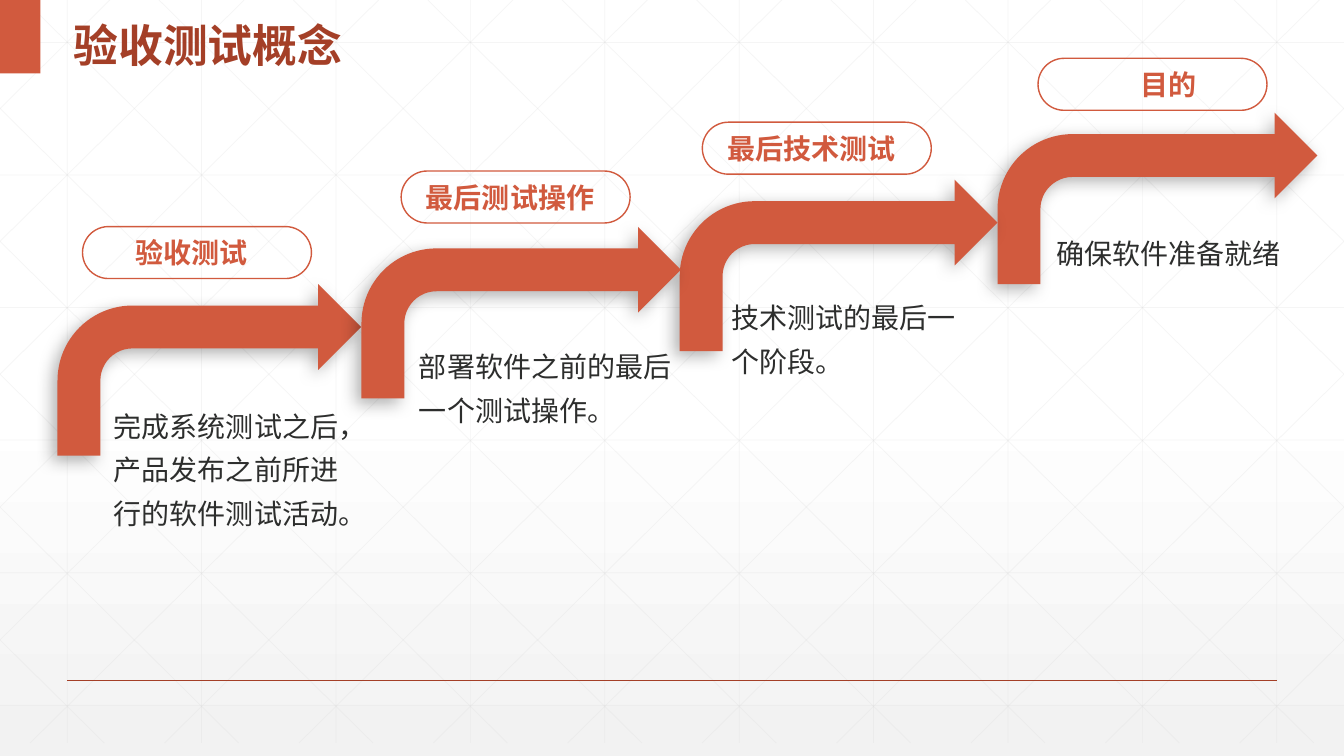
from lxml import etree
from pptx import Presentation
from pptx import util as u
from pptx.dml.color import RGBColor
from pptx.enum import shapes, text
from pptx.oxml import ns, parse_xml

Cm, Pt = u.Cm, u.Pt
WIDTH, HEIGHT = 33.87, 19.05
ORANGE, BRICK, INK, GRID = "D15A3E", "A43F27", "2D2E2D", "D9D9D9"
CJK = "Noto Sans CJK SC"

TITLE = "验收测试概念"
# Lengths in cm: arrow (left, top, width), pill (left, top),
# label (inset from pill, width), body (left, top, width, height)
STEPS = [
    dict(label="验收测试", body="完成系统测试之后，产品发布之前所进行的软件测试活动。",
         arrow=(1.45, 7.16, 7.65), pill=(2.08, 5.71), label_at=(0.6, 4.29),
         body_at=(2.62, 9.93, 6.65, 3.48)),
    dict(label="最后测试操作", body="部署软件之前的最后一个测试操作。",
         arrow=(9.11, 5.72, 8.05), pill=(10.11, 4.31), label_at=(0.6, 4.29),
         body_at=(10.31, 8.43, 6.91, 2.36)),
    dict(label="最后技术测试", body="技术测试的最后一个阶段。",
         arrow=(17.13, 4.53, 8.01), pill=(17.7, 3.08), label_at=(0.6, 4.29),
         body_at=(18.19, 7.19, 6.76, 2.36)),
    dict(label="目的", body="确保软件准备就绪",
         arrow=(25.14, 2.84, 8.06), pill=(26.16, 1.47), label_at=(1.9, 2.77),
         body_at=(26.37, 5.59, 7.5, 1.27)),
]
ARROW_ORDER = (3, 0, 2, 1)  # back to front
ARROW_H = 4.32
PILL_W, PILL_H = 5.77, 1.31
LABEL_DROP, LABEL_H = 0.23, 0.86

GRID_PITCH_X, GRID_PITCH_Y = WIDTH / 10, 3.34
GRID_BOTTOM = 18.72
DIAGONAL_RUN = 18.94  # width a diagonal covers from top to GRID_BOTTOM


def color(value):
    return RGBColor.from_string(value)


def box(left, top, width, height):
    return Cm(left), Cm(top), Cm(width), Cm(height)


def add_line(s, x1, y1, x2, y2, hue, points, opacity=None):
    c = s.shapes.add_connector(shapes.MSO_CONNECTOR.STRAIGHT,
                               Cm(x1), Cm(y1), Cm(x2), Cm(y2))
    c.line.color.rgb = color(hue)
    c.line.width = Pt(points)
    sp_pr = c._element.spPr
    if opacity:
        rgb = sp_pr.find(".//" + ns.qn("a:srgbClr"))
        etree.SubElement(rgb, ns.qn("a:alpha"), val=str(opacity * 1000))
    etree.SubElement(sp_pr, ns.qn("a:effectLst"))


def add_shape(s, kind, at, fill=None, line=None):
    sp = s.shapes.add_shape(kind, *box(*at))
    sp.shadow.inherit = False
    if fill:
        sp.fill.solid()
        sp.fill.fore_color.rgb = color(fill)
    else:
        sp.fill.background()
    if line:
        sp.line.color.rgb = color(line)
        sp.line.width = Pt(1)
    else:
        sp.line.fill.background()
    return sp


def write(tf, words, size, hue, font, bold=False, spacing=None, align=None):
    p = tf.paragraphs[0]
    p.line_spacing = spacing
    p.alignment = align
    r = p.add_run()
    r.text = words
    r.font.size = Pt(size)
    r.font.bold = bold
    r.font.color.rgb = color(hue)
    r.font.name = font
    latin = r._r.rPr.find(ns.qn("a:latin"))
    east_asian = etree.Element(ns.qn("a:ea"), typeface=CJK)
    latin.addnext(east_asian)


def add_text(s, at, words, hue, inset=True, **style):
    tf = s.shapes.add_textbox(*box(*at)).text_frame
    tf.word_wrap = True
    tf.auto_size = text.MSO_AUTO_SIZE.SHAPE_TO_FIT_TEXT
    if not inset:
        tf.margin_left = tf.margin_top = tf.margin_right = tf.margin_bottom = 0
    write(tf, words, 20, hue, CJK, **style)


def cast_shadow(sp):
    effects = sp._element.spPr.find(ns.qn("a:effectLst"))
    effects.append(parse_xml(
        f'<a:outerShdw {ns.nsdecls("a")} blurRad="{Pt(12)}" dist="{Pt(5)}" '
        f'dir="{135 * 60000}" algn="tr" rotWithShape="0">'
        '<a:srgbClr val="000000"><a:alpha val="30000"/></a:srgbClr></a:outerShdw>'))


def paint_background(s):
    stops = "".join(f'<a:gs pos="{pos * 1000}"><a:srgbClr val="{hue}"/></a:gs>'
                    for pos, hue in ((0, "FFFFFF"), (53, "FFFFFF"), (100, "F2F2F2")))
    s._element.cSld.insert(0, parse_xml(
        f'<p:bg {ns.nsdecls("p", "a")}><p:bgPr><a:gradFill rotWithShape="1">'
        f'<a:gsLst>{stops}</a:gsLst><a:lin ang="5400000" scaled="0"/></a:gradFill>'
        '<a:effectLst/></p:bgPr></p:bg>'))


def grid_lines():
    """Yield the ends of the upright, level and mirrored diagonal lines."""
    for i in range(10):
        x = (i + 0.5) * GRID_PITCH_X
        yield x, 0, x, GRID_BOTTOM
    for i in range(6):
        y = 1.07 + i * GRID_PITCH_Y
        yield 0, y, WIDTH, y
    slope = GRID_BOTTOM / DIAGONAL_RUN
    for i in range(-5, 10):
        start = 0.62 + i * GRID_PITCH_X
        x1, x2 = max(start, 0), min(start + DIAGONAL_RUN, WIDTH)
        y1, y2 = (x1 - start) * slope, (x2 - start) * slope
        yield x1, y1, x2, y2
        yield WIDTH - x1, y1, WIDTH - x2, y2


def main():
    prs = Presentation()
    prs.slide_width, prs.slide_height = Cm(WIDTH), Cm(HEIGHT)
    s = prs.slides.add_slide(prs.slide_layouts[5])
    paint_background(s)
    for ends in grid_lines():
        add_line(s, *ends, GRID, 0.5, opacity=25)
    add_line(s, 1.69, 17.14, 32.18, 17.14, BRICK, 1)
    add_shape(s, shapes.MSO_SHAPE.RECTANGLE, (0, 0, 1.02, 1.85), fill=ORANGE)

    title = s.shapes.title
    title.left, title.top, title.width, title.height = box(1.6, 0, 14.45, 1.85)
    tf = title.text_frame
    tf.auto_size = text.MSO_AUTO_SIZE.NONE
    tf.vertical_anchor = text.MSO_ANCHOR.MIDDLE
    write(tf, TITLE, 32, BRICK, "Arial", bold=True, spacing=1.3,
          align=text.PP_ALIGN.LEFT)
    title._element.getparent().append(title._element)  # in front of the grid

    for i in ARROW_ORDER:
        cast_shadow(add_shape(s, shapes.MSO_SHAPE.BENT_ARROW,
                              (*STEPS[i]["arrow"], ARROW_H), fill=ORANGE))
    for step in STEPS:
        left, top = step["pill"]
        inset, width = step["label_at"]
        add_text(s, (left + inset, top + LABEL_DROP, width, LABEL_H), step["label"],
                 ORANGE, inset=False, bold=True, align=text.PP_ALIGN.CENTER)
        pill = add_shape(s, shapes.MSO_SHAPE.ROUNDED_RECTANGLE,
                         (left, top, PILL_W, PILL_H), line=ORANGE)
        pill.adjustments[0] = 0.5
        add_text(s, step["body_at"], step["body"], INK, spacing=1.3)

    prs.save("out.pptx")


if __name__ == "__main__":
    main()
